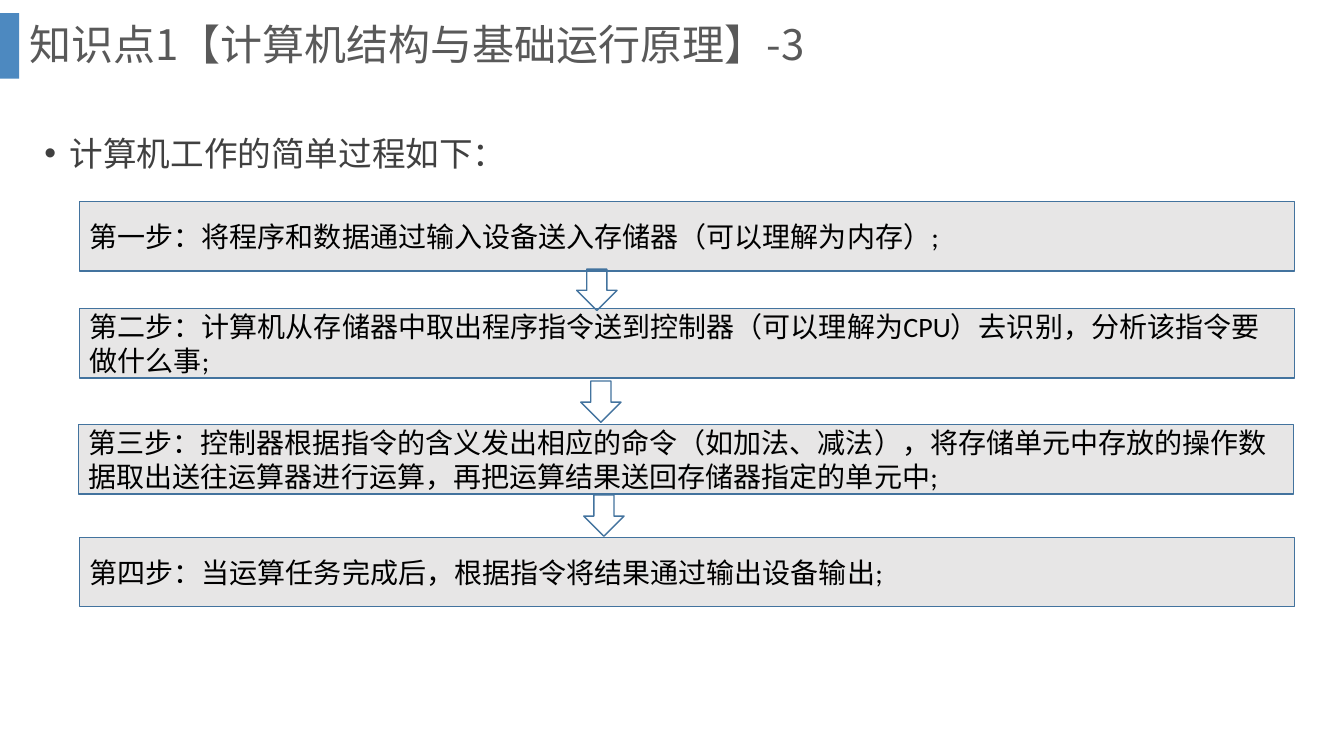
from lxml import etree
from pptx import Presentation
from pptx.dml.color import RGBColor
from pptx.enum.shapes import MSO_SHAPE
from pptx.enum.text import MSO_ANCHOR, MSO_AUTO_SIZE, PP_ALIGN
from pptx.oxml.ns import qn
from pptx.util import Inches, Pt

RECTANGLE, DOWN_ARROW = MSO_SHAPE.RECTANGLE, MSO_SHAPE.DOWN_ARROW
TOP, MIDDLE = MSO_ANCHOR.TOP, MSO_ANCHOR.MIDDLE
LEFT = PP_ALIGN.LEFT
NO_AUTOFIT = MSO_AUTO_SIZE.NONE

STEPS = [
    (0.79, 2.0, "第一步：将程序和数据通过输入设备送入存储器（可以理解为内存）;"),
    (0.79, 3.06, "第二步：计算机从存储器中取出程序指令送到控制器（可以理解为CPU）去识别，分析该指令要做什么事;"),
    (0.78, 4.21, "第三步：控制器根据指令的含义发出相应的命令（如加法、减法），"
                 "将存储单元中存放的操作数据取出送往运算器进行运算，再把运算结果送回存储器指定的单元中;"),
    (0.79, 5.33, "第四步：当运算任务完成后，根据指令将结果通过输出设备输出;"),
]
ARROWS = [(5.72, 2.67), (5.76, 3.78), (5.79, 4.91)]


def color(hex_string):
    return RGBColor.from_string(hex_string)


class ProcessSlide:
    CHINESE_FONT = "Noto Sans CJK SC"
    LATIN_FONT = "Calibri"
    LINE = "43739E"
    BOX_FILL = "E7E6E6"

    def __init__(self, presentation):
        self.slide = presentation.slides.add_slide(presentation.slide_layouts[1])

    def set_text(self, shape, text, size, font_name, font_color, anchor=MIDDLE):
        """Fill a shape with one left-aligned paragraph and return it."""
        frame = shape.text_frame
        frame.text = text
        frame.word_wrap = True
        frame.auto_size = NO_AUTOFIT
        frame.vertical_anchor = anchor
        paragraph = frame.paragraphs[0]
        paragraph.alignment = LEFT
        font = paragraph.font
        font.size = Pt(size)
        font.name = font_name
        font.color.rgb = color(font_color)
        latin = paragraph._p.pPr.find(qn("a:defRPr")).find(qn("a:latin"))
        east_asian = etree.Element(qn("a:ea"), typeface=self.CHINESE_FONT)
        latin.addnext(east_asian)
        return paragraph

    def place(self, shape, left, top, width, height):
        shape.left, shape.top = Inches(left), Inches(top)
        shape.width, shape.height = Inches(width), Inches(height)

    def title(self, text):
        shape = self.slide.shapes.title
        self.place(shape, 0.19, 0, 12.66, 0.93)
        paragraph = self.set_text(shape, text, 30, self.CHINESE_FONT, "595959")
        paragraph.line_spacing = 0.9

    def bullet(self, text):
        shape = self.slide.placeholders[1]
        self.place(shape, 0.34, 1.07, 12.05, 0.67)
        paragraph = self.set_text(shape, text, 24, self.CHINESE_FONT, "404040", TOP)
        paragraph.line_spacing = 1.5
        paragraph.space_before = Pt(10)
        properties = paragraph._p.pPr
        properties.set("marL", str(Inches(0.25)))
        properties.set("indent", str(-Inches(0.25)))

    def shape(self, kind, left, top, width, height, fill=None, line=None):
        shape = self.slide.shapes.add_shape(
            kind, Inches(left), Inches(top), Inches(width), Inches(height))
        shape.shadow.inherit = False
        if fill:
            shape.fill.solid()
            shape.fill.fore_color.rgb = color(fill)
        else:
            shape.fill.background()
        if line:
            shape.line.color.rgb = color(line)
            shape.line.width = Pt(1)
        else:
            shape.line.fill.background()
        return shape

    def accent_bar(self):
        bar = self.shape(RECTANGLE, 0, 0.13, 0.19, 0.65, "2E75B6")
        fill_color = bar._element.spPr.find(qn("a:solidFill"))[0]
        etree.SubElement(fill_color, qn("a:alpha"), val="85000")

    def step(self, left, top, text):
        box = self.shape(RECTANGLE, left, top, 12.05, 0.69, self.BOX_FILL, self.LINE)
        self.set_text(box, text, 20, self.LATIN_FONT, "000000")

    def arrow(self, left, top):
        self.shape(DOWN_ARROW, left, top, 0.4, 0.41, line=self.LINE)


def main():
    presentation = Presentation()
    presentation.slide_width = Inches(13.33)
    presentation.slide_height = Inches(7.5)

    process = ProcessSlide(presentation)
    process.accent_bar()
    process.title("知识点1【计算机结构与基础运行原理】-3")
    process.bullet("计算机工作的简单过程如下：")
    for left, top, text in STEPS:
        process.step(left, top, text)
    for left, top in ARROWS:
        process.arrow(left, top)

    presentation.save("out.pptx")


if __name__ == "__main__":
    main()
